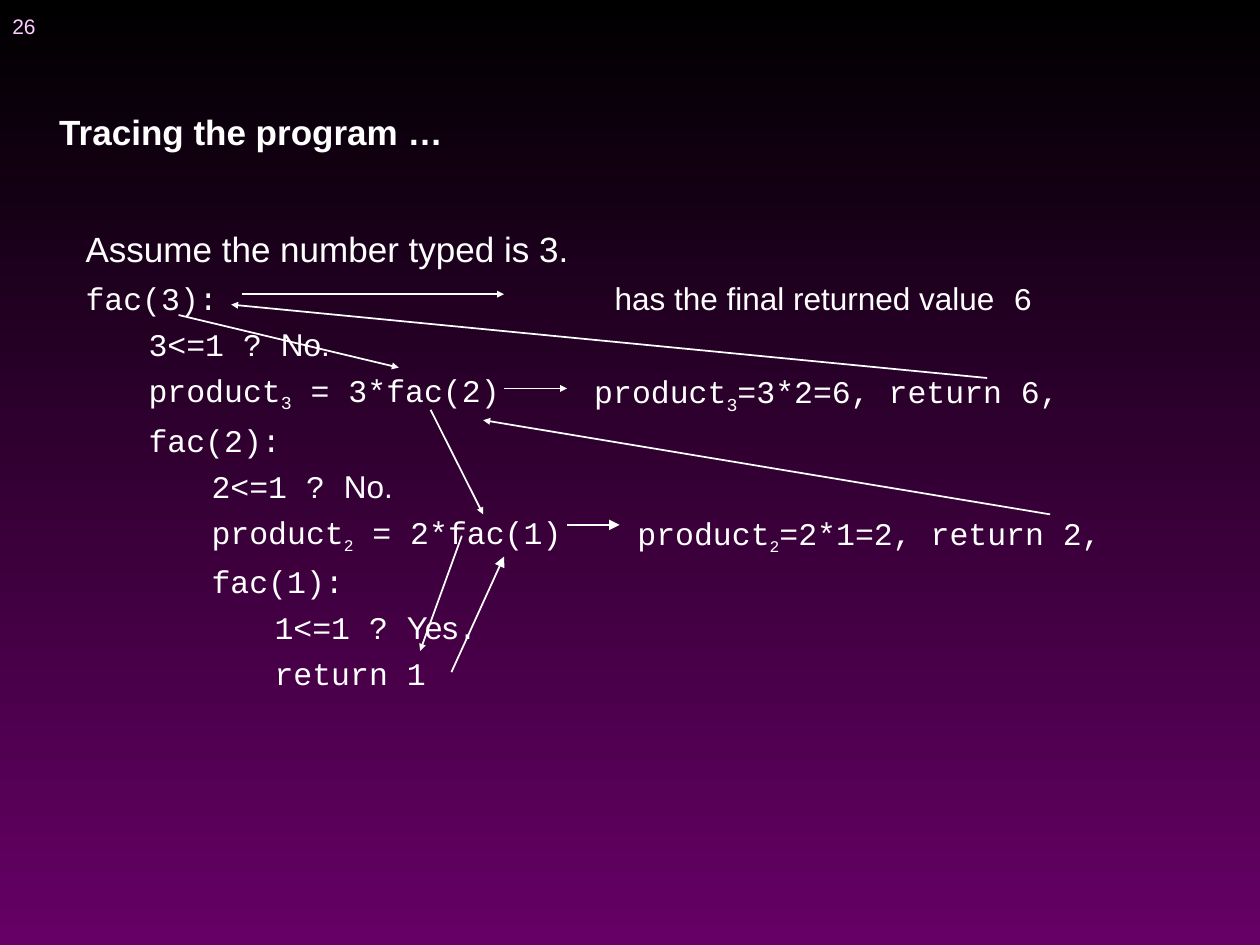
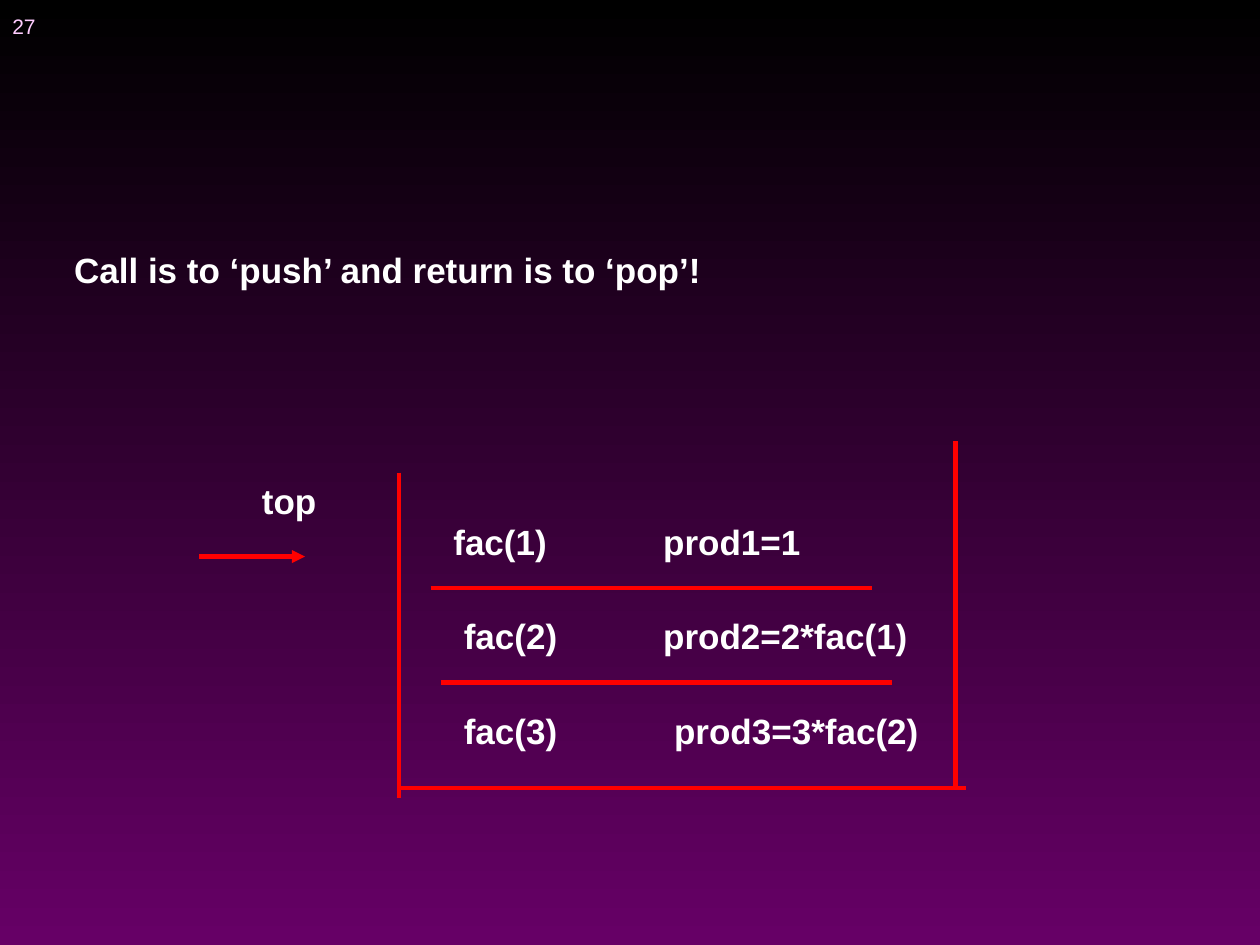
import pptx
import pptx.util
import pptx.dml.color
import pptx.enum.shapes
import pptx.enum.text
import pptx.oxml.ns
from lxml import etree

Cm = pptx.util.Cm
Pt = pptx.util.Pt
RGBColor = pptx.dml.color.RGBColor

# Shared look
BLACK = RGBColor(0x00, 0x00, 0x00)
PURPLE = RGBColor(0x66, 0x00, 0x66)
WHITE = RGBColor(0xFF, 0xFF, 0xFF)
PINK = RGBColor(0xFF, 0xCC, 0xFF)
RED = RGBColor(0xFF, 0x00, 0x00)
SANS, MONO = "Arial", "Courier New"
LEVEL_INDENT = 1.27
LABEL_HEIGHT = 1.12

# Run styles of the trace: font, size, subscript
INTRO = (SANS, 20, False)
PROSE = (SANS, 18, False)
CODE = (MONO, 18, False)
SUB = (MONO, 18, True)
SMALL_SUB = (MONO, 16, True)

# Trace lines: level, space before, runs
TRACE = [
    (0, 0, [("Assume the number typed is 3.", INTRO)]),
    (0, 5.8, [("fac(3):", CODE)]),
    (1, 4.5, [("3<=1 ? ", CODE), ("No.", PROSE)]),
    (1, 4.5, [("product", CODE), ("3", SUB), (" = 3*fac(2)", CODE)]),
    (1, 4.5, [("fac(2):", CODE)]),
    (2, 4.5, [("2<=1 ? ", CODE), ("No.", PROSE)]),
    (2, 4.5, [("product", CODE), ("2", SMALL_SUB), (" = 2*fac(1)", CODE)]),
    (2, 4.5, [("fac(1):", CODE)]),
    (3, 4.5, [("1<=1 ? ", CODE), ("Yes", PROSE), (".", CODE)]),
    (3, 4.5, [("return 1", CODE)]),
]

# Returned values beside the trace: left, top, runs
RESULT_WIDTH = 10.2
RESULTS = [
    (12.14, 5.51, [("has the final returned value", PROSE), (" 6", CODE)]),
    (11.73, 7.37, [("product", CODE), ("3", SUB),
                   ("=3*2=6, return 6,", CODE)]),
    (12.6, 10.24, [("product", CODE), ("2", SMALL_SUB),
                   ("=2*1=2, return 2,", CODE)]),
]

# Arrows of the trace: start, end, head size
TRACE_ARROWS = [
    ((9.1, 13.55), (10.16, 11.22), "med"),
    ((11.43, 10.58), (12.49, 10.58), "med"),
    ((21.17, 10.37), (9.74, 8.47), "sm"),
    ((10.16, 7.83), (11.43, 7.83), "sm"),
    ((19.9, 7.62), (4.66, 6.14), "sm"),
    ((4.87, 5.93), (10.16, 5.93), "sm"),
    ((3.6, 6.35), (8.04, 7.41), "sm"),
    ((8.68, 8.26), (9.74, 10.37), "sm"),
    ((9.31, 10.8), (8.47, 13.12), "sm"),
]

# Stack frames, top first: call and its left, product with its left and width
STACK_TOP, FRAME_STEP = 10.37, 1.9
FRAMES = [
    ("fac(1)", 8.89, "prod1=1", 13.12, 3.28),
    ("fac(2)", 9.1, "prod2=2*fac(1)", 13.12, 5.44),
    ("fac(3)", 9.1, "prod3=3*fac(2)", 13.34, 5.44),
]
STACK_LINES = [
    ((8.04, 15.88), (19.47, 15.88)),   # floor
    ((8.04, 9.53), (8.04, 16.09)),     # left wall
    ((19.26, 15.88), (19.26, 8.89)),   # right wall
    ((8.68, 11.85), (17.57, 11.85)),   # frame dividers
    ((8.89, 13.76), (17.99, 13.76)),
]


def sub_element(parent, tag, **attributes):
    return etree.SubElement(parent, pptx.oxml.ns.qn(tag), **attributes)


def place(shape, left, top, width, height):
    shape.left, shape.top = Cm(left), Cm(top)
    shape.width, shape.height = Cm(width), Cm(height)


def style_run(run, font, size, color=WHITE, bold=False):
    run.font.name, run.font.size, run.font.bold = font, Pt(size), bold
    run.font.color.rgb = color


def add_runs(paragraph, runs):
    """Add styled pieces of text, some of them subscripts."""
    for text, (font, size, subscript) in runs:
        run = paragraph.add_run()
        run.text = text
        style_run(run, font, size)
        if subscript:
            run.font._element.set("baseline", "-25000")


def set_single_line(frame):
    frame.word_wrap = False
    frame.auto_size = pptx.enum.text.MSO_AUTO_SIZE.NONE
    frame.vertical_anchor = pptx.enum.text.MSO_ANCHOR.TOP
    frame.paragraphs[0].alignment = pptx.enum.text.PP_ALIGN.LEFT


def fill_label(shape, text, size=20, color=WHITE, bold=True):
    frame = shape.text_frame
    frame.text = text
    set_single_line(frame)
    style_run(frame.paragraphs[0].runs[0], SANS, size, color, bold)


def add_box(slide, left, top, width):
    return slide.shapes.add_textbox(
        Cm(left), Cm(top), Cm(width), Cm(LABEL_HEIGHT))


def add_label(slide, text, left, top, width, **style):
    label = add_box(slide, left, top, width)
    fill_label(label, text, **style)
    return label


def add_result(slide, left, top, runs):
    frame = add_box(slide, left, top, RESULT_WIDTH).text_frame
    set_single_line(frame)
    add_runs(frame.paragraphs[0], runs)


def add_line(slide, start, end, color, width, head=None):
    points = [Cm(value) for value in start + end]
    line = slide.shapes.add_connector(
        pptx.enum.shapes.MSO_CONNECTOR.STRAIGHT, *points)
    line.line.color.rgb = color
    line.line.width = Pt(width)
    if head:
        sub_element(line.line._get_or_add_ln(), "a:tailEnd",
                    type="triangle", w=head, len=head)
    sub_element(line._element.spPr, "a:effectLst")


def set_background(master):
    fill = master.background.fill
    fill.gradient()
    fill.gradient_angle = 270
    for stop, color in zip(fill.gradient_stops, (BLACK, PURPLE)):
        stop.color.rgb = color


def add_slide(deck, layout, number, title, left, top, width):
    slide = deck.slides.add_slide(deck.slide_layouts[layout])
    place(slide.shapes.title, left, top, width, LABEL_HEIGHT)
    fill_label(slide.shapes.title, title)
    page = add_label(slide, str(number), 0, 0, 6.99,
                     size=12, color=PINK, bold=False)
    page.height = Cm(1.06)
    page.text_frame.vertical_anchor = pptx.enum.text.MSO_ANCHOR.MIDDLE
    return slide


def fill_trace(body):
    frame = body.text_frame
    frame.auto_size = pptx.enum.text.MSO_AUTO_SIZE.NONE
    for index, (level, space_before, runs) in enumerate(TRACE):
        paragraph = frame.add_paragraph() if index else frame.paragraphs[0]
        paragraph.level = level
        properties = paragraph._p.get_or_add_pPr()
        properties.set("marL", str(Cm(level * LEVEL_INDENT)))
        properties.set("indent", "0")
        sub_element(properties, "a:buNone")
        paragraph.space_before = Pt(space_before)
        add_runs(paragraph, runs)


def build_trace(deck):
    slide = add_slide(deck, 1, 26, "Tracing the program …", 0.94, 2.11, 10.19)
    body = slide.placeholders[1]
    place(body, 1.47, 4.45, 22.86, 13.13)
    fill_trace(body)
    for left, top, runs in RESULTS:
        add_result(slide, left, top, runs)
    for start, end, head in TRACE_ARROWS:
        add_line(slide, start, end, WHITE, 1, head)


def build_stack(deck):
    slide = add_slide(deck, 5, 27, "Call is to ‘push’ and return is to ‘pop’!",
                      1.24, 4.88, 13.18)
    # Stack contents
    for row, (call, call_left, product, left, width) in enumerate(FRAMES):
        top = STACK_TOP + row * FRAME_STEP
        add_label(slide, call, call_left, top, 2.39)
        add_label(slide, product, left, top, width)
    # Stack outline
    for start, end in STACK_LINES:
        add_line(slide, start, end, RED, 2.5)
    # Pointer to the top
    add_label(slide, "top", 5.03, 9.55, 1.6)
    add_line(slide, (4.02, 11.22), (6.15, 11.22), RED, 2.5, "med")


def main():
    deck = pptx.Presentation()
    deck.slide_width, deck.slide_height = Cm(25.4), Cm(19.05)
    set_background(deck.slide_master)
    build_trace(deck)
    build_stack(deck)
    deck.save("out.pptx")


if __name__ == "__main__":
    main()
